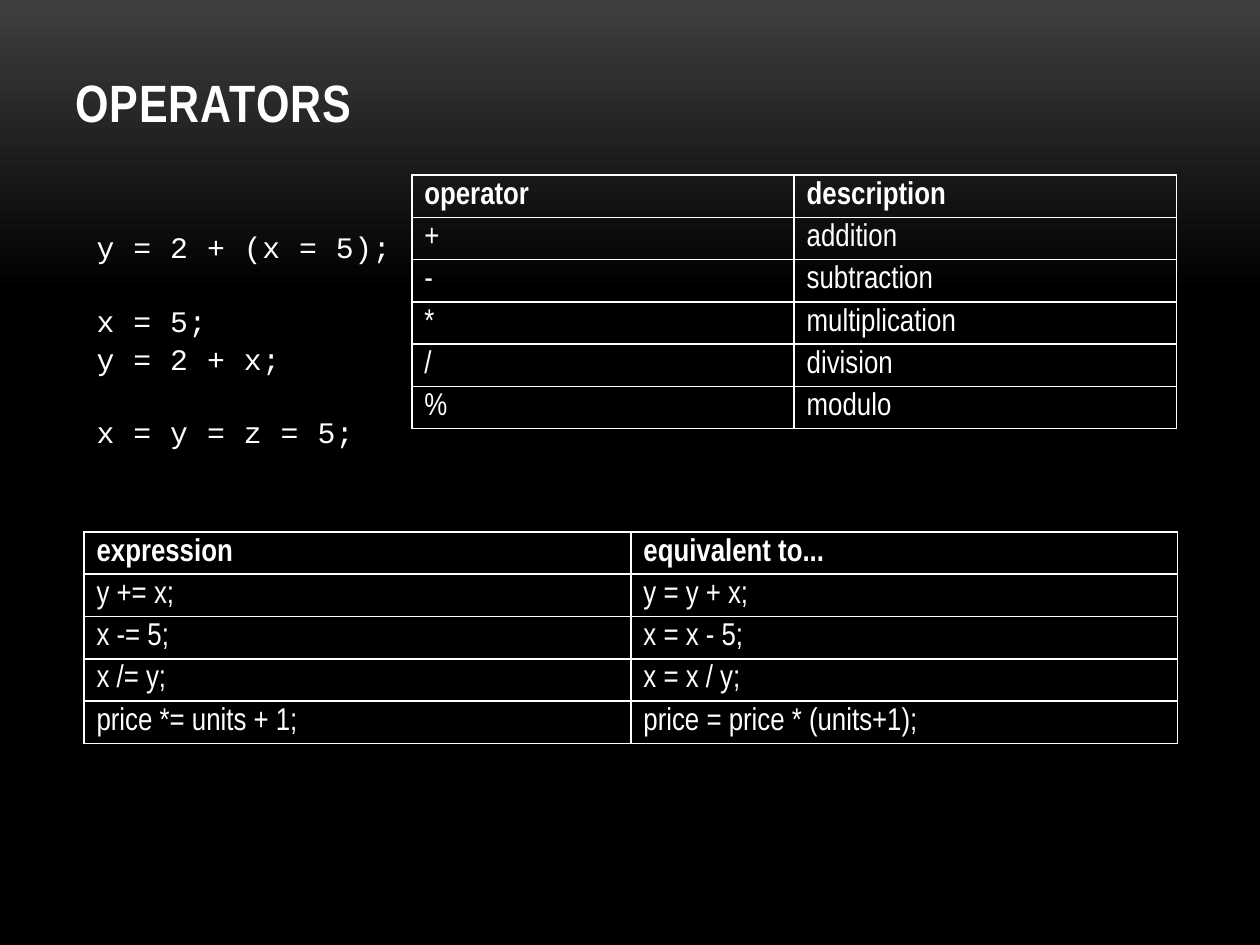
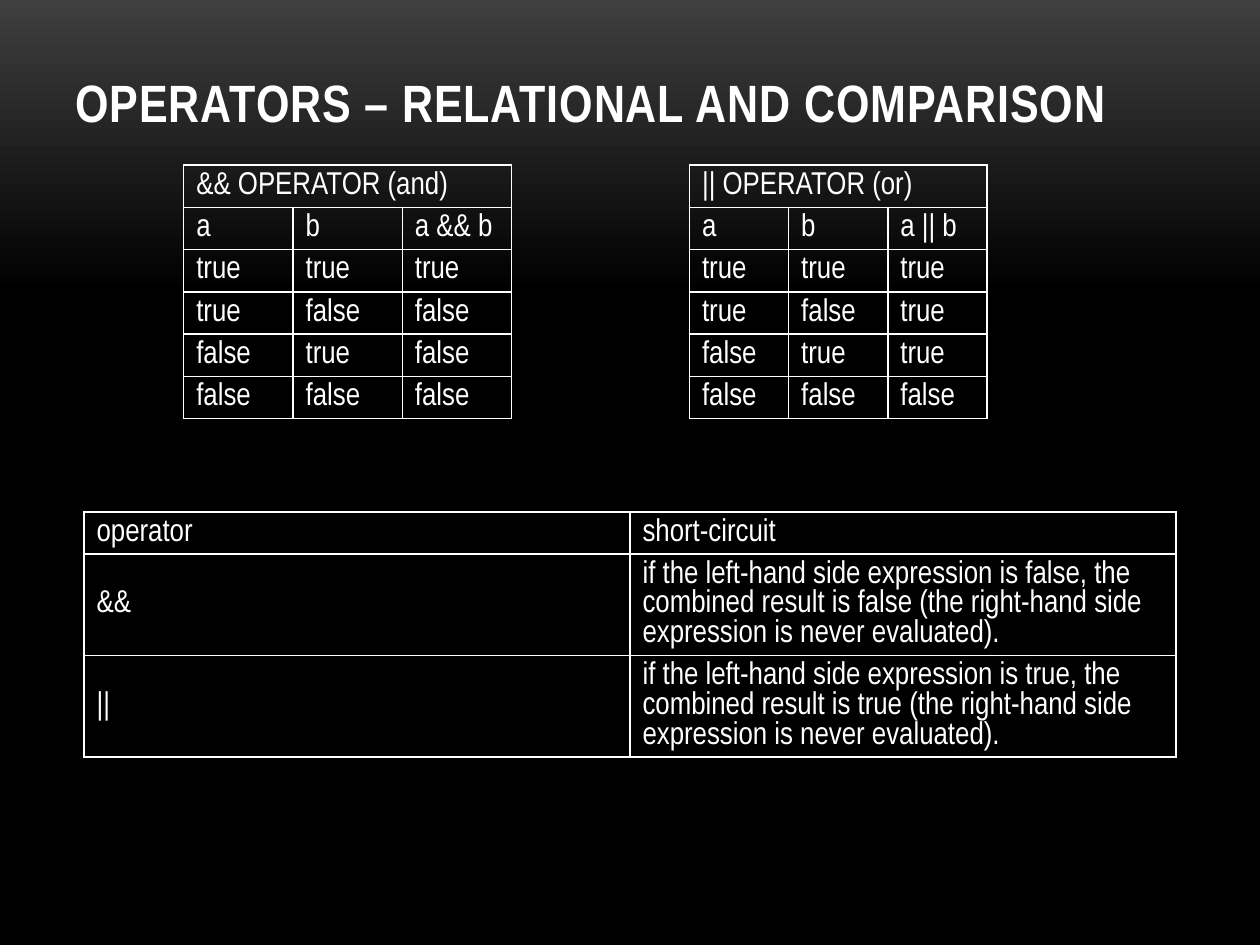
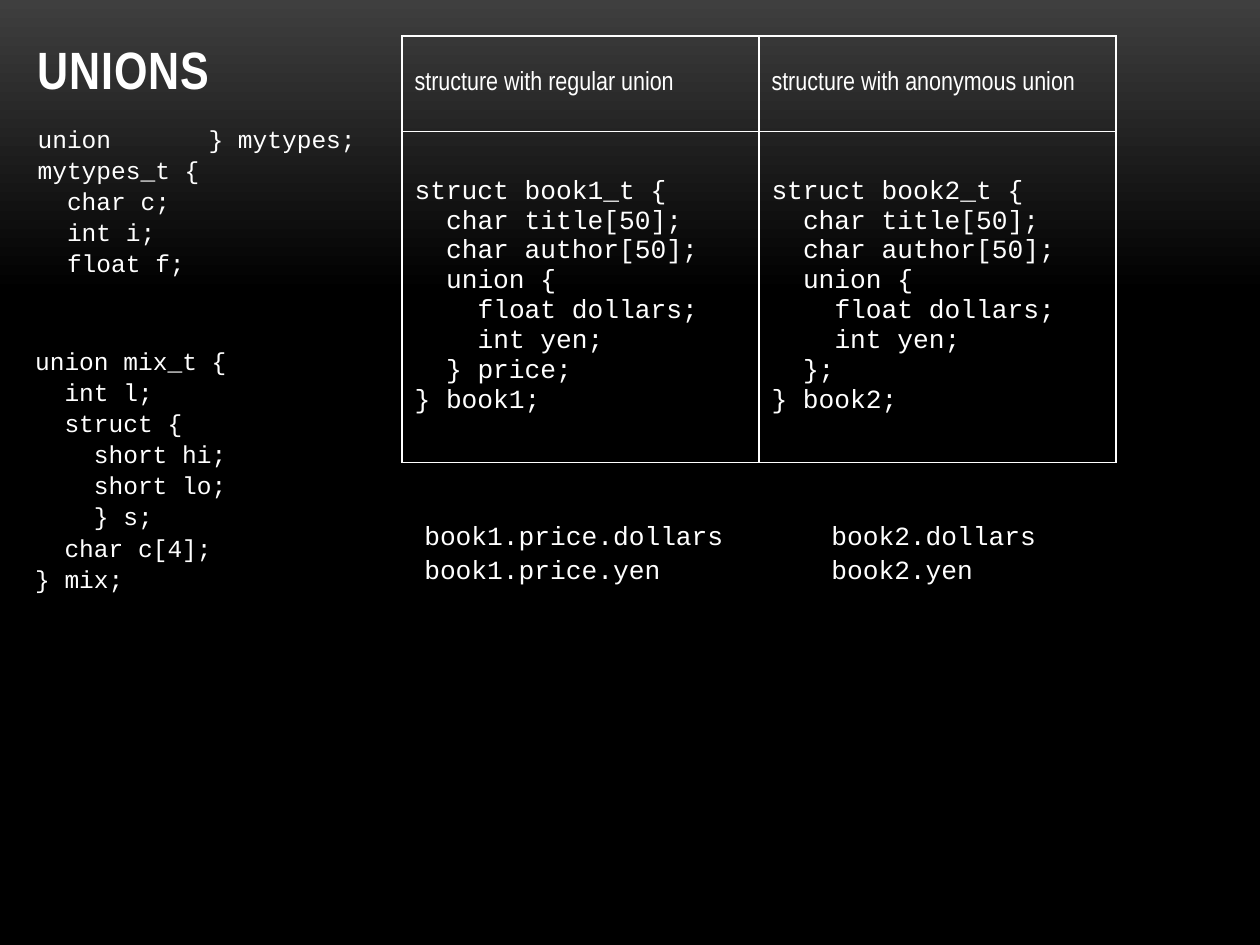
from lxml import etree
from pptx import Presentation
from pptx.dml.color import RGBColor
from pptx.enum.text import MSO_ANCHOR, MSO_AUTO_SIZE, PP_ALIGN
from pptx.oxml.ns import qn
from pptx.util import Pt

TOP, MID = MSO_ANCHOR.TOP, MSO_ANCHOR.MIDDLE
FIXED, GROW = MSO_AUTO_SIZE.NONE, MSO_AUTO_SIZE.SHAPE_TO_FIT_TEXT
LEFT = PP_ALIGN.LEFT
WHITE = RGBColor(0xFF, 0xFF, 0xFF)
GREY = RGBColor(0x3F, 0x3F, 0x3F)
BLACK = RGBColor(0, 0, 0)
SANS, MONO = "Arial Narrow", "Courier New"
LEAD = 1.06  # line spacing of code outside tables


def write(frame, text, font, lead=1.0, track=0):
    """Fill a frame: leading spaces become indents, empty lines become gaps."""
    gap, first = 0, True
    for line in text.split("\n"):
        if not line:
            gap += font["size"] * 1.2
            continue
        para = frame.paragraphs[0] if first else frame.add_paragraph()
        bare = line.lstrip()
        inset = (len(line) - len(bare)) * 0.6 * font["size"].pt
        props = para._p.get_or_add_pPr()
        props.set("marL", str(Pt(inset)))
        props.set("indent", "0")
        etree.SubElement(props, qn("a:buNone"))
        para.alignment, para.line_spacing = LEFT, lead
        para.space_before, para.space_after = Pt(gap / Pt(1)), Pt(0)
        run = para.add_run()
        run.text = bare
        for name, value in font.items():
            setattr(run.font, name, value)
        run.font.color.rgb = WHITE
        if track:
            run._r.get_or_add_rPr().set("spc", str(track))
        gap, first = 0, False


def grid(slide, box, rows, highs, fonts):
    """Add a ruled table; the last of highs and fonts serves all later rows."""
    x, y, width = box
    count = len(rows[-1])
    table = slide.shapes.add_table(
        len(rows), count, Pt(x), Pt(y), Pt(width), Pt(sum(highs))).table
    table.first_row = table.horz_banding = False
    for col in table.columns:
        col.width = Pt(width / count)
    for r, row in enumerate(rows):
        pick = min(r, len(highs) - 1)
        table.rows[r].height = Pt(highs[pick])
        for c in range(count):
            cell = table.cell(r, c)
            props = cell._tc.get_or_add_tcPr()
            for side in ("lnL", "lnR", "lnT", "lnB"):
                line = etree.SubElement(props, qn("a:" + side), w=str(Pt(1)))
                fill = etree.SubElement(line, qn("a:solidFill"))
                etree.SubElement(fill, qn("a:srgbClr"), val=str(WHITE))
            cell.fill.background()
            cell.vertical_anchor = MID
            if c < len(row):
                write(cell.text_frame, row[c], fonts[min(r, len(fonts) - 1)])
        if len(row) < count:
            table.cell(r, 0).merge(table.cell(r, count - 1))


HEAD = {"name": SANS, "size": Pt(30), "bold": True}
BOLD = {"name": SANS, "size": Pt(18), "bold": True}
PLAIN = {"name": SANS, "size": Pt(18), "bold": False}
LABEL = {"name": SANS, "size": Pt(15), "bold": False}
CODE = {"name": MONO, "size": Pt(15), "bold": False}
SMALL = {"name": MONO, "size": Pt(14), "bold": False}
LARGE = {"name": MONO, "size": Pt(17), "bold": False}

deck = Presentation()
deck.slide_width, deck.slide_height = Pt(720), Pt(540)

# Shared background: grey fading to black in the top third
back = deck.slide_master.background.fill
back.gradient()
back.gradient_angle = 270
for stop, color, place in zip(back.gradient_stops, (GREY, BLACK), (0, 0.31)):
    stop.color.rgb, stop.position = color, place

# Slides with their titles: layout number, title box, title
WIDE = (36, 28, 648, 90)
PAGES = [
    (1, WIDE, "OPERATORS"),
    (5, WIDE, "OPERATORS – RELATIONAL AND COMPARISON"),
    (5, (14.4, 9.4, 402.5, 43.2), "UNIONS"),
]
slides = []
for layout, box, text in PAGES:
    slide = deck.slides.add_slide(deck.slide_layouts[layout])
    title = slide.shapes.title
    title.left, title.top, title.width, title.height = map(Pt, box)
    frame = title.text_frame
    frame.auto_size, frame.vertical_anchor = FIXED, TOP
    frame.margin_top = Pt(12)
    write(frame, text, HEAD, track=50)
    slides.append(slide)
basic, logic, union = slides

# Operators
body = basic.placeholders[1]
body.left, body.top, body.width, body.height = map(Pt, (48, 126, 624, 357))
body.text_frame.auto_size = FIXED
write(body.text_frame, """y = 2 + (x = 5);

x = 5;
y = 2 + x;

x = y = z = 5;""", LARGE, LEAD, 30)
grid(basic, (235.3, 100, 437), [
    ("operator", "description"),
    ("+", "addition"),
    ("-", "subtraction"),
    ("*", "multiplication"),
    ("/", "division"),
    ("%", "modulo"),
], [24], [BOLD, PLAIN])
grid(basic, (48, 304, 625), [
    ("expression", "equivalent to..."),
    ("y += x;", "y = y + x;"),
    ("x -= 5;", "x = x - 5;"),
    ("x /= y;", "x = x / y;"),
    ("price *= units + 1;", "price = price * (units+1);"),
], [24], [BOLD, PLAIN])

# Relational and comparison: truth tables worked out by rule
TRUTH = [
    ("&&", "and", 105, 187.4, lambda a, b: a and b),
    ("||", "or", 394, 170, lambda a, b: a or b),
]
rules = [("operator", "short-circuit")]
for (sign, word, x, width, test), ends in zip(TRUTH, ("false", "true")):
    rows = [(f"{sign} OPERATOR ({word})",), ("a", "b", f"a {sign} b")]
    for a in (True, False):
        for b in (True, False):
            rows.append([str(v).lower() for v in (a, b, test(a, b))])
    grid(logic, (x, 94.3, width), rows, [24], [PLAIN])
    rules.append((sign, f"if the left-hand side expression is {ends}, the "
                  f"combined result is {ends} (the right-hand side "
                  "expression is never evaluated)."))
grid(logic, (48, 292.5, 624), rules, [24, 58], [PLAIN])

# Unions
NOTES = [
    ((14.4, 66.2, 209.5, 113), 2, SMALL, """union mytypes_t {
  char c;
  int i;
  float f;
} mytypes;"""),
    ((13, 193, 165.6, 143.3), 1, SMALL, """union mix_t {
  int l;
  struct {
    short hi;
    short lo;
    } s;
  char c[4];
} mix;"""),
    ((235.4, 292.3, 197.3, 44), 1, CODE,
     "book1.price.dollars\nbook1.price.yen"),
    ((468, 292.3, 197.3, 44), 1, CODE, "book2.dollars\nbook2.yen"),
]
for box, cols, font, text in NOTES:
    frame = union.shapes.add_textbox(*map(Pt, box)).text_frame
    frame.word_wrap, frame.auto_size = True, GROW
    if cols > 1:
        frame._txBody.bodyPr.set("numCol", str(cols))
    write(frame, text, font, LEAD)

BOOK = """struct book{0}_t {{
  char title[50];
  char author[50];
  union {{
    float dollars;
    int yen;
  }}{1};
}} book{0};"""
grid(union, (229.7, 20.6, 408), [
    ("structure with regular union", "structure with anonymous union"),
    (BOOK.format(1, " price"), BOOK.format(2, "")),
], [54.4, 189.2], [LABEL, CODE])

deck.save("out.pptx")
